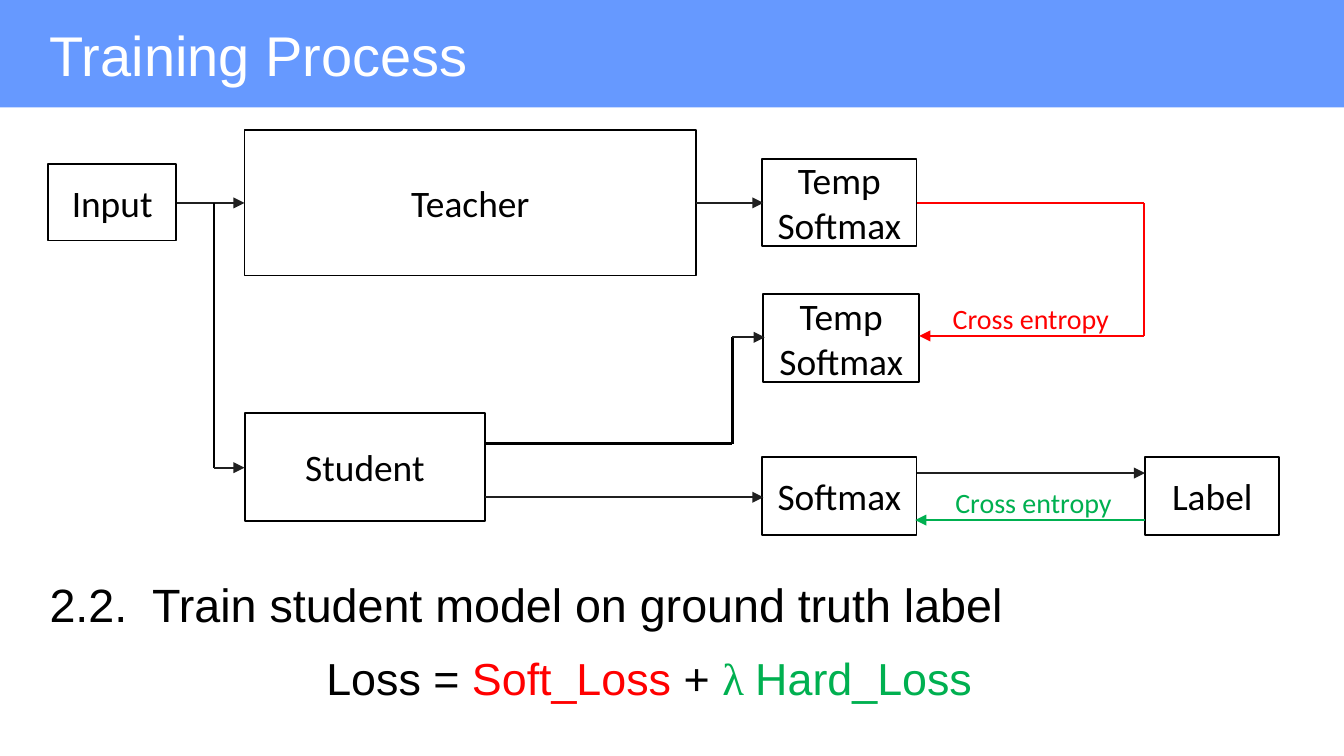
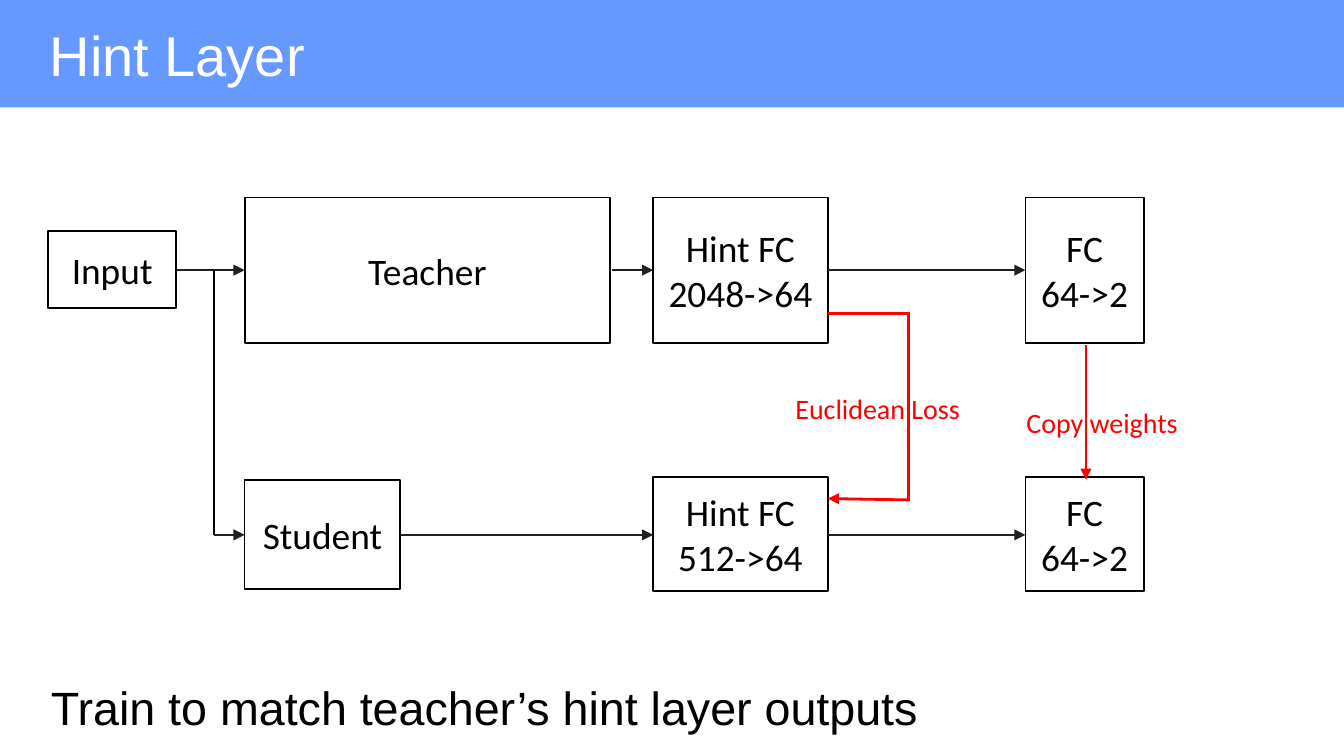
"""Build two slides on training a student network from a teacher."""
from dataclasses import dataclass
from typing import NamedTuple

from lxml import etree
from pptx import Presentation
from pptx import util as u
from pptx.dml.color import RGBColor
from pptx.enum import shapes, text
from pptx.oxml.ns import qn

SCALE = 9144
WIDE = 1000


@dataclass(frozen=True)
class Theme:
    band: str = "6699FF"
    white: str = "FFFFFF"
    black: str = "000000"
    dark: str = "202020"
    red: str = "FF0000"
    green: str = "00B050"
    sans: str = "Arial"
    label: str = "Calibri"
    greek: str = "Times New Roman"
    title: int = 30
    body: int = 25
    loss: int = 24
    node: int = 20
    note: int = 15
    edge: float = 1
    wire: float = 1.25
    bold: float = 1.5


T = Theme()


class Area(NamedTuple):
    x: int
    y: int
    w: int
    h: int


class Node(NamedTuple):
    words: str
    area: Area


class Note(NamedTuple):
    words: str
    area: Area
    color: str


class Wire(NamedTuple):
    points: list[tuple[int, int]]
    tip: str = T.dark
    stem: str = T.black
    arrow: bool = True
    width: float = T.wire


class Part(NamedTuple):
    words: str
    color: str = T.black
    face: str = T.sans


def px(*sizes: int) -> list[u.Emu]:
    return [u.Emu(size * SCALE) for size in sizes]


def paint(run, face: str, size: int, color: str) -> None:
    run.font.name = face
    run.font.size = u.Pt(size)
    run.font.color.rgb = RGBColor.from_string(color)


def setup(frame, side: int, top: int, anchor) -> None:
    frame.word_wrap = True
    frame.auto_size = text.MSO_AUTO_SIZE.NONE
    frame.vertical_anchor = anchor
    frame.margin_left, frame.margin_right = px(side, side)
    frame.margin_top, frame.margin_bottom = px(top, top)


def plain(frame, words: str, size: int, color: str) -> None:
    setup(frame, 10, 10, text.MSO_ANCHOR.TOP)
    frame.text = words
    para = frame.paragraphs[0]
    para.alignment = text.PP_ALIGN.LEFT
    paint(para.runs[0], T.sans, size, color)


def center(frame, words: str, size: int, color: str) -> None:
    setup(frame, 10, 5, text.MSO_ANCHOR.MIDDLE)
    frame.text = words
    for para in frame.paragraphs:
        para.alignment = text.PP_ALIGN.CENTER
        for run in para.runs:
            paint(run, T.label, size, color)


def add_rect(slide, area: Area):
    rect = slide.shapes.add_shape(shapes.MSO_SHAPE.RECTANGLE, *px(*area))
    rect.shadow.inherit = False
    return rect


def add_node(slide, node: Node) -> None:
    rect = add_rect(slide, node.area)
    rect.fill.background()
    rect.line.color.rgb = RGBColor.from_string(T.black)
    rect.line.width = u.Pt(T.edge)
    center(rect.text_frame, node.words, T.node, T.black)


def add_note(slide, note: Note) -> None:
    box = slide.shapes.add_textbox(*px(*note.area))
    center(box.text_frame, note.words, T.note, note.color)


def add_wire(slide, wire: Wire) -> None:
    pairs = list(zip(wire.points, wire.points[1:]))
    for rank, (start, end) in enumerate(pairs, 1):
        last = rank == len(pairs)
        line = slide.shapes.add_connector(
            shapes.MSO_CONNECTOR.STRAIGHT, *px(*start, *end))
        color = wire.tip if last else wire.stem
        line.line.color.rgb = RGBColor.from_string(color)
        line.line.width = u.Pt(wire.width)
        props = line.element.spPr
        if last and wire.arrow:
            etree.SubElement(props.get_or_add_ln(), qn("a:tailEnd"),
                             type="triangle")
        etree.SubElement(props, qn("a:effectLst"))


def add_body(slide, words: str, area: Area) -> None:
    box = slide.shapes.add_textbox(*px(*area))
    plain(box.text_frame, words, T.body, T.black)
    box.text_frame.paragraphs[0].line_spacing = 1.15


def add_loss(slide, parts: list[Part], area: Area) -> None:
    frame = slide.shapes.add_textbox(*px(*area)).text_frame
    setup(frame, 10, 10, text.MSO_ANCHOR.TOP)
    for part in parts:
        run = frame.paragraphs[0].add_run()
        run.text = part.words
        paint(run, part.face, T.loss, part.color)


def add_slide(deck, words: str):
    slide = deck.slides.add_slide(deck.slide_layouts[5])
    band = add_rect(slide, Area(0, 0, WIDE, 80))
    band.fill.solid()
    band.fill.fore_color.rgb = RGBColor.from_string(T.band)
    band.line.fill.background()
    title = slide.shapes.title
    title.left, title.top, title.width, title.height = px(27, 5, 932, 63)
    plain(title.text_frame, words, T.title, T.white)
    title.element.addprevious(band.element)
    return slide


def add_fork(slide, top: int, teach: int, learn: int) -> None:
    """Draw the input feeding a teacher and a student of given widths."""
    mid, low = top + 54, top + 251
    draw(slide, [
        Node("Input", Area(36, top + 25, 95, 57)),
        Node("Teacher", Area(182, top, teach, 108)),
        Node("Student", Area(182, top + 210, learn, 81)),
    ], [
        Wire([(132, mid), (182, mid)]),
        Wire([(159, mid), (159, low), (182, low)]),
    ])


def draw(slide, nodes: list[Node], wires: list[Wire],
         notes: list[Note] = ()) -> None:
    for node in nodes:
        add_node(slide, node)
    for wire in wires:
        add_wire(slide, wire)
    for note in notes:
        add_note(slide, note)


def train(deck) -> None:
    slide = add_slide(deck, "Training Process")
    add_fork(slide, 97, 336, 179)
    draw(slide, [
        Node("Temp\nSoftmax", Area(567, 118, 115, 65)),
        Node("Temp\nSoftmax", Area(568, 219, 116, 65)),
        Node("Softmax", Area(567, 340, 115, 58)),
        Node("Label", Area(852, 340, 100, 58)),
    ], [
        Wire([(518, 151), (568, 151)]),
        Wire([(361, 330), (545, 330), (545, 251), (569, 251)]),
        Wire([(361, 370), (568, 370)]),
        Wire([(682, 352), (852, 352)]),
        Wire([(852, 387), (681, 387)], T.green),
        Wire([(682, 151), (851, 151), (851, 250), (684, 250)], T.red, T.red),
    ], [
        Note("Cross entropy", Area(669, 214, 196, 46), T.red),
        Note("Cross entropy", Area(671, 351, 196, 46), T.green),
    ])
    add_body(slide, "2.2.  Train student model on ground truth label",
             Area(27, 412, 945, 57))
    add_loss(slide, [
        Part("Loss = "),
        Part("Soft_Loss ", T.red),
        Part("+ "),
        Part("λ ", T.green, T.greek),
        Part("Hard_Loss", T.green),
    ], Area(233, 474, 534, 62))


def hint(deck) -> None:
    slide = add_slide(deck, "Hint Layer")
    add_fork(slide, 147, 272, 116)
    draw(slide, [
        Node("Hint FC\v2048->64", Area(486, 147, 130, 108)),
        Node("FC\v64->2", Area(763, 147, 88, 108)),
        Node("Hint FC\v512->64", Area(486, 355, 130, 85)),
        Node("FC\v64->2", Area(763, 355, 88, 85)),
    ], [
        Wire([(455, 201), (486, 201)]),
        Wire([(298, 398), (486, 398)]),
        Wire([(616, 201), (763, 201)]),
        Wire([(616, 398), (763, 398)]),
        Wire([(616, 233), (676, 233)], T.red, arrow=False, width=T.bold),
        Wire([(676, 232), (676, 373)], T.red, arrow=False),
        Wire([(676, 372), (616, 371)], T.red, width=T.bold),
        Wire([(808, 257), (808, 357)], T.red),
    ], [
        Note("Euclidean Loss", Area(559, 281, 188, 46), T.red),
        Note("Copy weights", Area(726, 291, 188, 46), T.red),
    ])
    add_body(slide, "Train to match teacher’s hint layer outputs",
             Area(28, 489, 945, 57))


def main() -> None:
    deck = Presentation()
    deck.slide_width = px(WIDE)[0]
    deck.slide_height = u.Emu(deck.slide_width * 9 // 16)
    train(deck)
    hint(deck)
    deck.save("out.pptx")


if __name__ == "__main__":
    main()
